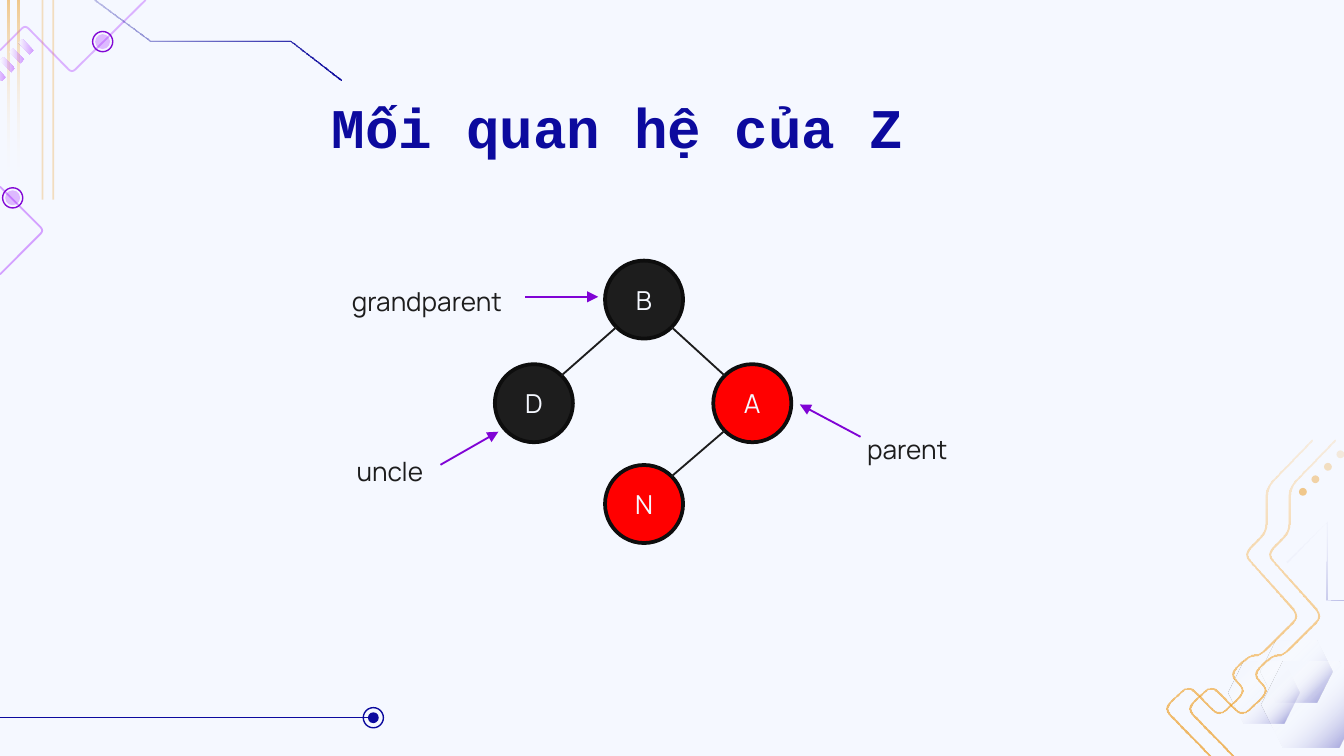
import math
from dataclasses import dataclass

from lxml import etree
from pptx import Presentation
from pptx.dml.color import RGBColor
from pptx.enum.shapes import MSO_CONNECTOR, MSO_SHAPE
from pptx.enum.text import MSO_ANCHOR, PP_ALIGN
from pptx.oxml.ns import qn
from pptx.util import Pt

OVAL, RECT, HEXAGON = MSO_SHAPE.OVAL, MSO_SHAPE.RECTANGLE, MSO_SHAPE.HEXAGON
STRAIGHT = MSO_CONNECTOR.STRAIGHT
MIDDLE, BOTTOM = MSO_ANCHOR.MIDDLE, MSO_ANCHOR.BOTTOM
CENTER, LEFT = PP_ALIGN.CENTER, PP_ALIGN.LEFT


@dataclass(frozen=True)
class Theme:
    paper: str = "F5F8FF"
    navy: str = "0C0A9E"
    purple: str = "9900FF"
    ring: str = "8208D5"
    arrow: str = "8003D5"
    amber: str = "EB9109"
    orange: str = "FF9900"
    white: str = "FFFFFF"
    black: str = "1D1D1D"
    outline: str = "0D0D0D"
    red: str = "FF0000"
    title_font: str = "Courier New"
    body_font: str = "Manrope"
    title_size: int = 30
    body_size: int = 14


THEME = Theme()


# Fill, line and text helpers
def paint(shape, fill=None, alpha=100, line=None, width=0.75):
    shape.shadow.inherit = False
    if fill:
        shape.fill.solid()
        shape.fill.fore_color.rgb = RGBColor.from_string(fill)
        if alpha < 100:
            color = next(shape.fill._xPr.iter(qn("a:srgbClr")))
            etree.SubElement(color, qn("a:alpha"), val=str(alpha * 1000))
    else:
        shape.fill.background()
    if line:
        shape.line.color.rgb = RGBColor.from_string(line)
        shape.line.width = Pt(width)
    else:
        shape.line.fill.background()


def shade(shape, stops, angle):
    """Linear gradient; stops are (percent, colour, alpha), angle is clockwise."""
    paint(shape)
    shape.fill.gradient()
    shape.fill.gradient_angle = -angle % 360
    stop_list = next(shape._element.spPr.iter(qn("a:gsLst")))
    for stop in list(stop_list):
        stop_list.remove(stop)
    for percent, color, alpha in stops:
        stop = etree.SubElement(stop_list, qn("a:gs"), pos=str(percent * 1000))
        tint = etree.SubElement(stop, qn("a:srgbClr"), val=color)
        etree.SubElement(tint, qn("a:alpha"), val=str(alpha * 1000))


def write(frame, text, font, size, color, align=LEFT, bold=False):
    frame.word_wrap = True
    paragraph = frame.paragraphs[0]
    paragraph.alignment = align
    run = paragraph.add_run()
    run.text = text
    run.font.name, run.font.size, run.font.bold = font, Pt(size), bold
    run.font.color.rgb = RGBColor.from_string(color)
    return paragraph


# Geometry helpers
def add_circle(shapes, cx, cy, size):
    return shapes.add_shape(OVAL, Pt(cx - size / 2), Pt(cy - size / 2), Pt(size), Pt(size))


def add_line(shapes, start, end, color, width, arrow=False):
    line = shapes.add_connector(STRAIGHT, *[Pt(v) for v in (*start, *end)])
    line.line.color.rgb = RGBColor.from_string(color)
    line.line.width = Pt(width)
    etree.SubElement(line._element.spPr, qn("a:effectLst"))
    if arrow:
        etree.SubElement(line.line._get_or_add_ln(), qn("a:tailEnd"), type="triangle")


def add_polygon(shapes, x, y, points):
    corners = [(Pt(x + px), Pt(y + py)) for px, py in points]
    builder = shapes.build_freeform(*corners[0])
    builder.add_line_segments(corners[1:], close=True)
    return builder.convert_to_shape()


def round_corners(points, radius):
    rounded = [points[0]]
    for before, corner, after in zip(points, points[1:], points[2:]):
        ends = []
        for other in (before, after):
            share = min(radius / math.dist(corner, other), 0.45)
            ends.append([c + (o - c) * share for c, o in zip(corner, other)])
        for t in (0, 0.25, 0.5, 0.75, 1):
            rounded.append(tuple((1 - t) ** 2 * a + 2 * t * (1 - t) * c + t * t * b
                                 for a, c, b in zip(ends[0], corner, ends[1])))
    return rounded + [points[-1]]


def add_trace(shapes, x, y, points, width, radius=0):
    """A thin ribbon along the points, so that it can carry a gradient."""
    path = round_corners(points, radius) if radius else points
    sides = [], []
    for i, (px, py) in enumerate(path):
        (ax, ay), (bx, by) = path[max(i - 1, 0)], path[min(i + 1, len(path) - 1)]
        reach = width / 2 / math.hypot(bx - ax, by - ay)
        dx, dy = (ay - by) * reach, (bx - ax) * reach
        sides[0].append((px + dx, py + dy))
        sides[1].append((px - dx, py - dy))
    return add_polygon(shapes, x, y, sides[0] + sides[1][::-1])


# Regions
def draw_top_circuit(shapes, x, y):
    for points, alpha in (([(78, 0), (38.5, 39), (13.5, 13.5), (0, 27)], 28),
                          ([(0, 100), (23.5, 123.5), (0, 147)], 35)):
        paint(add_trace(shapes, x, y, points, 1, 2.5), THEME.purple, alpha)
    for cx, cy in ((55, 22.3), (6.8, 106)):
        paint(add_circle(shapes, x + cx, y + cy, 10.8), line=THEME.ring)
        paint(add_circle(shapes, x + cx, y + cy, 8), THEME.purple, 25)
    # Amber bars: two that fade and two that are even
    for left, height, end, alpha in ((4, 96, THEME.white, 0), (9.4, 96, THEME.white, 0),
                                     (22.3, 107, THEME.amber, 25), (28, 107, THEME.amber, 25)):
        bar = shapes.add_shape(RECT, Pt(x + left), Pt(y), Pt(1), Pt(height))
        shade(bar, [(0, THEME.amber, alpha or 47), (100, end, alpha)], 90)
    navy_trace = add_trace(shapes, x, y, [(51, 0), (80.5, 21.5), (155, 21.5), (182.5, 42.5)], 0.9)
    shade(navy_trace, [(0, THEME.navy, 25), (100, THEME.navy, 100)], 0)
    for i in range(4):
        chip = add_polygon(shapes, x + 10 - 5 * i, y + 21 + 4.8 * i, [(2, 0), (0, 2), (6, 8), (8, 6)])
        shade(chip, [(0, THEME.purple, 37), (100, THEME.white, 37)], 180)


def draw_corner_circuit(shapes, x, y):
    for i in range(4):
        paint(add_circle(shapes, x + 75 + 6.7 * i, y + 27.5 - 6.7 * i, 4.2), THEME.amber, 47 - 11 * i)
    navy_trace = add_trace(shapes, x, y, [(66.5, 65.5), (87.5, 44), (87.5, 85.5), (97, 85.5)], 1)
    shade(navy_trace, [(0, THEME.white, 0), (100, THEME.navy, 25)], 45)
    for left, top, width, height in ((52.5, 107.5, 38, 33), (35, 118.5, 38, 33), (53, 118.5, 53, 46)):
        cell = shapes.add_shape(HEXAGON, Pt(x + left), Pt(y + top), Pt(width), Pt(height))
        shade(cell, [(0, THEME.paper, 100), (22, THEME.paper, 100),
                     (45, THEME.white, 0), (100, THEME.navy, 50)], 45)
    wave = [(25.5, 169), (0.5, 143.5), (13.5, 131), (30, 147.5), (44, 134), (35.5, 125), (46, 115),
            (51.5, 115), (72.5, 94), (43, 61), (55, 49), (55, 25.5), (79.5, 0)]
    for shift in (0, 12.5):
        shade(add_trace(shapes, x + shift, y, wave, 1.1, 5),
              [(0, THEME.orange, 12), (100, THEME.amber, 65)], 90)


def draw_footer_rule(shapes, x, y, width):
    add_line(shapes, (x, y), (x + width - 2.5, y), THEME.navy, 0.75)
    paint(add_circle(shapes, x + width, y, 10.8), line=THEME.navy)
    paint(add_circle(shapes, x + width, y, 5.8), THEME.navy)


def place_title(title, x, y, width, height):
    title.left, title.top, title.width, title.height = (Pt(v) for v in (x, y, width, height))
    frame = title.text_frame
    frame.vertical_anchor = BOTTOM
    frame.margin_left = frame.margin_right = frame.margin_top = frame.margin_bottom = Pt(7.2)
    write(frame, "Mối quan hệ của Z", THEME.title_font, THEME.title_size, THEME.navy, bold=True)


def draw_family_tree(shapes, x, y):
    size = 41.8
    nodes = {"D": (116, 76, THEME.black), "B": (175, 20.5, THEME.black),
             "A": (233, 76, THEME.red), "N": (175, 130, THEME.red)}
    for name, (cx, cy, color) in nodes.items():
        node = add_circle(shapes, x + cx, y + cy, size)
        paint(node, color, line=THEME.outline, width=2)
        frame = node.text_frame
        frame.vertical_anchor = MIDDLE
        frame.margin_left = frame.margin_right = frame.margin_top = frame.margin_bottom = 0
        write(frame, name, THEME.body_font, THEME.body_size, THEME.paper, CENTER)
    # Edges run between the diagonal points of the circles
    reach = size / 2 * math.sqrt(0.5)
    for upper, lower in ("BD", "BA", "AN"):
        (ux, uy, _), (lx, ly, _) = nodes[upper], nodes[lower]
        dx = math.copysign(reach, lx - ux)
        add_line(shapes, (x + ux + dx, y + uy + reach), (x + lx - dx, y + ly - reach), THEME.black, 1)
    # Relation labels with their arrows
    for relation, left, top, width, start, end in (
            ("grandparent", 0.5, 3.3, 130, (111.5, 19), (150.5, 19)),
            ("parent", 276.5, 82.5, 74, (291, 94), (258.5, 76.7)),
            ("uncle", 3, 94, 74, (66, 109), (97, 91.3))):
        frame = shapes.add_textbox(Pt(x + left), Pt(y + top), Pt(width), Pt(41.8)).text_frame
        frame.margin_left = Pt(18)
        frame.margin_right = frame.margin_top = frame.margin_bottom = Pt(7.2)
        write(frame, relation, THEME.body_font, THEME.body_size, THEME.black).line_spacing = 1.15
        add_line(shapes, (x + start[0], y + start[1]), (x + end[0], y + end[1]), THEME.arrow, 1, True)


def main():
    deck = Presentation()
    deck.slide_width, deck.slide_height = Pt(720), Pt(405)
    slide = deck.slides.add_slide(deck.slide_layouts[5])
    slide.background.fill.solid()
    slide.background.fill.fore_color.rgb = RGBColor.from_string(THEME.paper)
    draw_top_circuit(slide.shapes, 0, 0)
    draw_corner_circuit(slide.shapes, 623, 236)
    draw_footer_rule(slide.shapes, 0, 384.5, 200)
    place_title(slide.shapes.title, 170.5, 44.5, 360, 48.5)
    draw_family_tree(slide.shapes, 170, 140)
    deck.save("out.pptx")


if __name__ == "__main__":
    main()
